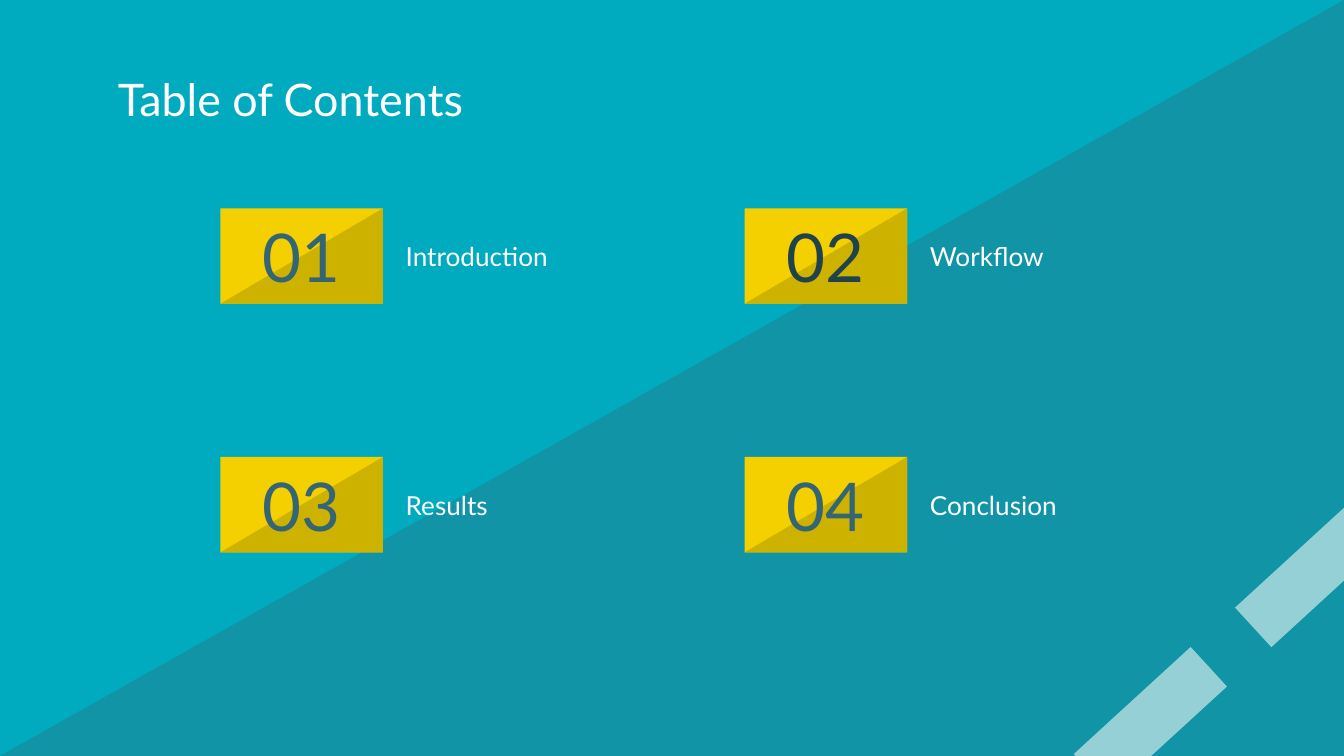
from lxml import etree
from pptx import Presentation
from pptx.dml.color import RGBColor
from pptx.enum.shapes import MSO_SHAPE
from pptx.enum.text import MSO_ANCHOR, PP_ALIGN
from pptx.oxml.ns import qn
from pptx.util import Inches, Pt

RECTANGLE, TRIANGLE = MSO_SHAPE.RECTANGLE, MSO_SHAPE.RIGHT_TRIANGLE
MIDDLE = MSO_ANCHOR.MIDDLE
LEFT, CENTER = PP_ALIGN.LEFT, PP_ALIGN.CENTER

TURQUOISE = RGBColor(0x00, 0xAB, 0xBF)
SLATE = RGBColor(0x33, 0x65, 0x74)
DARK_SLATE = RGBColor(0x1F, 0x42, 0x4C)
YELLOW = RGBColor(0xF4, 0xD0, 0x00)
OCHRE = RGBColor(0xCE, 0xB2, 0x00)
WHITE = RGBColor(0xFF, 0xFF, 0xFF)

SLIDE_W = 10
SLIDE_H = SLIDE_W * 9 / 16
COLUMNS = (1.64, 5.54)
ROWS = (1.55, 3.4)
CARD_W, CARD_H = 1.21, 0.71
LABEL_OFFSET, LABEL_W = 1.28, 2.08
STRIPE_W, STRIPE_H = 1.18, 0.4


def add_block(kind, left, top, width, height, color, opacity=100):
    block = slide.shapes.add_shape(kind, Inches(left), Inches(top), Inches(width), Inches(height))
    block.shadow.inherit = False
    block.line.fill.background()
    block.fill.solid()
    block.fill.fore_color.rgb = color
    if kind == TRIANGLE:
        block._element.spPr.find(qn("a:xfrm")).set("flipH", "1")
    if opacity < 100:
        tint = block._element.spPr.find(qn("a:solidFill"))[0]
        etree.SubElement(tint, qn("a:alpha")).set("val", str(opacity * 1000))
    return block


def add_text(words, left, top, width, height, size, color, align=LEFT):
    frame = slide.shapes.add_textbox(Inches(left), Inches(top), Inches(width), Inches(height)).text_frame
    inset = Inches(0.1)
    frame_format = {"word_wrap": True, "vertical_anchor": MIDDLE, "margin_left": inset,
                    "margin_right": inset, "margin_top": inset, "margin_bottom": inset}
    for name, value in frame_format.items():
        setattr(frame, name, value)
    paragraph = frame.paragraphs[0]
    paragraph.alignment = align
    run = paragraph.add_run()
    run.text = words
    for name, value in {"name": "Lato", "size": Pt(size)}.items():
        setattr(run.font, name, value)
    run.font.color.rgb = color


prs = Presentation()
prs.slide_width, prs.slide_height = Inches(SLIDE_W), Inches(SLIDE_H)
slide = prs.slides.add_slide(prs.slide_layouts[6])
slide.background.fill.solid()
slide.background.fill.fore_color.rgb = TURQUOISE

add_block(TRIANGLE, 0, 0, SLIDE_W, SLIDE_H, SLATE, 32)
for left, top in ((7.97, 5.16), (9.17, 4.07)):
    stripe = add_block(RECTANGLE, left, top, STRIPE_W, STRIPE_H, WHITE, 56)
    stripe.rotation = 317.5

add_text("Table of Contents", 0.78, 0.42, 8.44, 0.63, 24, WHITE)

sections = (
    ("Introduction", SLATE),
    ("Workflow", DARK_SLATE),
    ("Results", SLATE),
    ("Conclusion", SLATE),
)
for index, (section, number_color) in enumerate(sections):
    row, column = divmod(index, len(COLUMNS))
    left, top = COLUMNS[column], ROWS[row]
    add_block(RECTANGLE, left, top, CARD_W, CARD_H, YELLOW)
    add_block(TRIANGLE, left, top, CARD_W, CARD_H, OCHRE)
    add_text(f"{index + 1:02}", left, top, CARD_W, CARD_H, 36, number_color, CENTER)
    add_text(section, left + LABEL_OFFSET, top, LABEL_W, CARD_H, 14, WHITE)

prs.save("out.pptx")
